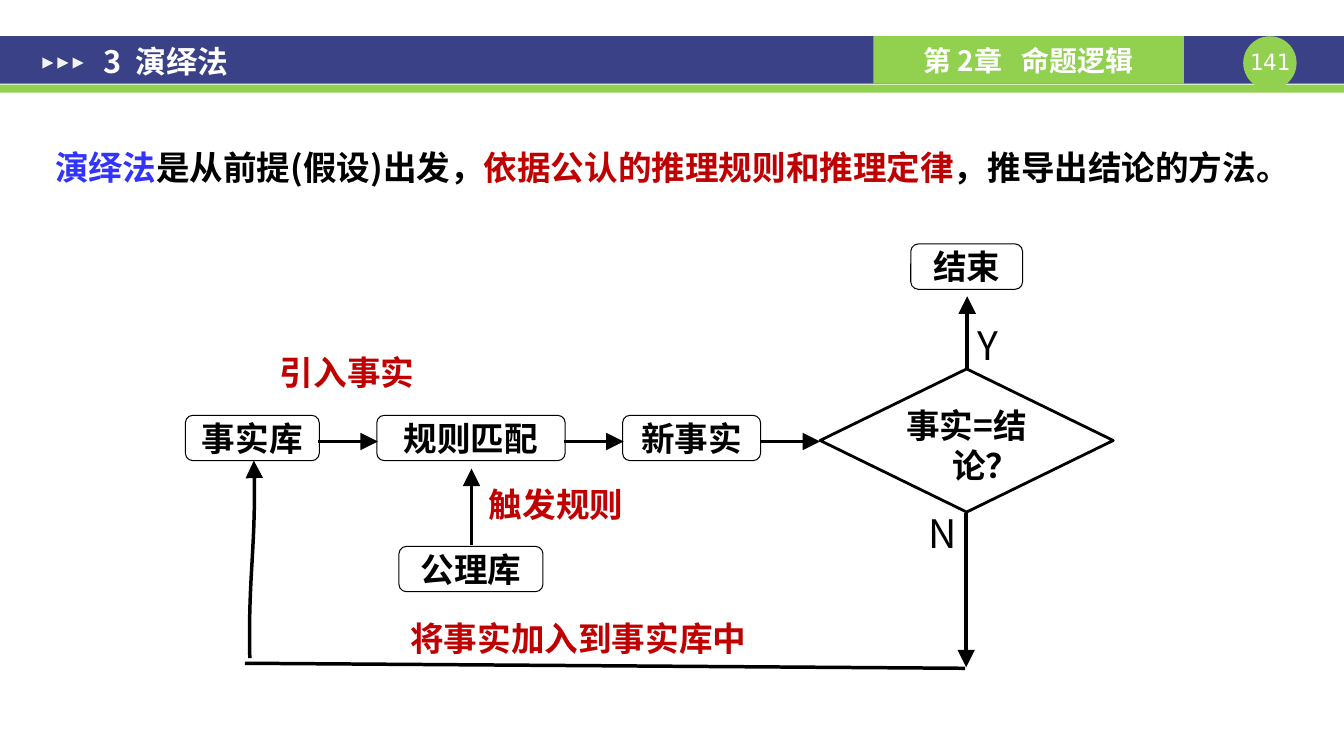
from dataclasses import dataclass

from lxml import etree
from pptx import Presentation
from pptx.dml.color import RGBColor
from pptx.enum.shapes import MSO_CONNECTOR, MSO_SHAPE
from pptx.enum.text import MSO_ANCHOR, PP_ALIGN
from pptx.oxml.ns import qn
from pptx.util import Pt

PX = 9144
RECT, OVAL = MSO_SHAPE.RECTANGLE, MSO_SHAPE.OVAL
TRIANGLE = MSO_SHAPE.ISOSCELES_TRIANGLE
PROCESS = MSO_SHAPE.FLOWCHART_ALTERNATE_PROCESS
DECISION = MSO_SHAPE.FLOWCHART_DECISION
STRAIGHT = MSO_CONNECTOR.STRAIGHT
LEFT, CENTER = PP_ALIGN.LEFT, PP_ALIGN.CENTER
TOP, MIDDLE = MSO_ANCHOR.TOP, MSO_ANCHOR.MIDDLE


@dataclass(frozen=True)
class Theme:
    font: str = "Noto Sans CJK SC"
    number_font: str = "DejaVu Sans Mono"
    navy: str = "3A4187"
    green: str = "92D050"
    white: str = "FFFFFF"
    pale: str = "F2F2F2"
    black: str = "000000"
    blue: str = "3333FF"
    red: str = "C00000"
    number_size: int = 16
    chapter_size: int = 20
    title_size: int = 22
    text_size: int = 24
    answer_size: int = 28
    box_line: float = 0.75
    decision_line: float = 2
    arrow_line: float = 2.5


THEME = Theme()


def emu(lengths):
    return [round(length * PX) for length in lengths]


def write(frame, runs, size, align=CENTER, anchor=TOP, inset=(0, 0), bold=True, font=THEME.font):
    frame.word_wrap = True
    frame.vertical_anchor = anchor
    frame.margin_left = frame.margin_right = inset[0] * PX
    frame.margin_top = frame.margin_bottom = inset[1] * PX
    paragraph = frame.paragraphs[0]
    paragraph.alignment = align
    for words, color in runs:
        run = paragraph.add_run()
        run.text = words
        run.font.size = Pt(size)
        run.font.bold = bold
        run.font.color.rgb = RGBColor.from_string(color)
        run.font.name = font
        etree.SubElement(run.font._element, qn("a:ea"), typeface=font)
    return paragraph


def add_block(slide, preset, place, fill, line=None, width=THEME.box_line):
    block = slide.shapes.add_shape(preset, *emu(place))
    block.shadow.inherit = False
    block.fill.solid()
    block.fill.fore_color.rgb = RGBColor.from_string(fill)
    if line:
        block.line.color.rgb = RGBColor.from_string(line)
        block.line.width = Pt(width)
    else:
        block.line.fill.background()
    return block


def add_label(slide, place, runs, size=THEME.text_size, **style):
    label = slide.shapes.add_textbox(*emu(place))
    return write(label.text_frame, runs, size, **style)


def add_step(slide, place, words):
    step = add_block(slide, PROCESS, place, THEME.white, THEME.black)
    write(step.text_frame, [(words, THEME.black)], THEME.text_size)


def add_decision(slide, place, words):
    decision = add_block(slide, DECISION, place, THEME.white, THEME.black, THEME.decision_line)
    paragraph = write(decision.text_frame, [(words, THEME.black)], THEME.text_size)
    hanging = 38 * PX
    properties = paragraph._p.get_or_add_pPr()
    properties.set("marL", str(hanging))
    properties.set("indent", str(-hanging))


def style_flow(flow, arrow):
    flow.line.color.rgb = RGBColor.from_string(THEME.black)
    flow.line.width = Pt(THEME.arrow_line)
    if arrow:
        etree.SubElement(flow.line._get_or_add_ln(), qn("a:tailEnd"),
                         type="triangle", w="lg", len="lg")


def add_flow(slide, start, end, arrow=True):
    flow = slide.shapes.add_connector(STRAIGHT, *emu(start + end))
    style_flow(flow, arrow)
    etree.SubElement(flow._element.spPr, qn("a:effectLst"))


def add_curved_flow(slide, controls, steps=16):
    def point(t):
        weights = ((1 - t) ** 3, 3 * t * (1 - t) ** 2, 3 * t * t * (1 - t), t ** 3)
        return emu(sum(w * c[axis] for w, c in zip(weights, controls)) for axis in (0, 1))

    outline = slide.shapes.build_freeform(*point(0))
    outline.add_line_segments([point(i / steps) for i in range(1, steps + 1)], close=False)
    curve = outline.convert_to_shape()
    curve.shadow.inherit = False
    curve.fill.background()
    style_flow(curve, True)


def add_header(slide):
    add_block(slide, RECT, (0, 36, 1334, 47), THEME.navy)
    add_block(slide, RECT, (0, 84, 1334, 8), THEME.green)
    add_block(slide, OVAL, (1234, 36, 53, 53), THEME.green)
    add_label(slide, (1234, 48, 53, 27), [("141", THEME.white)], THEME.number_size,
              bold=False, font=THEME.number_font)
    chapter = add_block(slide, RECT, (867, 36, 308, 47), THEME.green)
    write(chapter.text_frame, [("第 2章   命题逻辑", THEME.white)], THEME.chapter_size, anchor=MIDDLE)
    for i in range(3):
        marker = add_block(slide, TRIANGLE, (42 + 15 * i, 57, 11, 11), THEME.pale)
        marker.rotation = 90

    title = slide.shapes.title
    title.left, title.top, title.width, title.height = emu((90, 10, 882, 101))
    write(title.text_frame, [("3  演绎法", THEME.white)], THEME.title_size, LEFT, MIDDLE, (13, 7))
    slide.shapes._spTree.append(title._element)


def add_definition(slide):
    definition = add_label(slide, (42, 119, 1250, 72), [
        ("演绎法", THEME.blue),
        ("是从前提(假设)出发，", THEME.black),
        ("依据公认的推理规则和推理定律", THEME.red),
        ("，推导出结论的方法。", THEME.black),
    ], align=LEFT, inset=(13, 7))
    definition.line_spacing = 1.5


def add_flowchart(slide):
    for left, top, width, words in (
        (184, 412, 133, "事实库"),
        (374, 412, 187, "规则匹配"),
        (618, 412, 137, "新事实"),
        (396, 542, 143, "公理库"),
        (904, 242, 111, "结束"),
    ):
        add_step(slide, (left, top, width, 45), words)
    add_decision(slide, (814, 366, 291, 142), "事实=结论？")

    for left, top, width, words in (
        (262, 349, 165, "引入事实"),
        (459, 480, 186, "触发规则"),
        (375, 613, 398, "将事实加入到事实库中"),
    ):
        add_label(slide, (left, top, width, 45), [(words, THEME.red)])
    for left, top, answer in ((958, 319, "Y"), (913, 505, "N")):
        add_label(slide, (left, top, 45, 51), [(answer, THEME.black)],
                  THEME.answer_size, bold=False)

    for start, end in (
        ((316, 438), (375, 438)),
        ((560, 438), (619, 438)),
        ((755, 438), (814, 438)),
        ((468, 541), (468, 465)),
        ((960, 366), (960, 294)),
        ((959, 509), (959, 662)),
    ):
        add_flow(slide, start, end)
    add_flow(slide, (958, 663), (243, 658), arrow=False)
    add_curved_flow(slide, ((248, 653), (246, 572), (255, 538), (252, 457)))


def main():
    deck = Presentation()
    deck.slide_width, deck.slide_height = emu((1334, 750))
    slide = deck.slides.add_slide(deck.slide_layouts[5])
    add_header(slide)
    add_definition(slide)
    add_flowchart(slide)
    deck.save("out.pptx")


if __name__ == "__main__":
    main()
